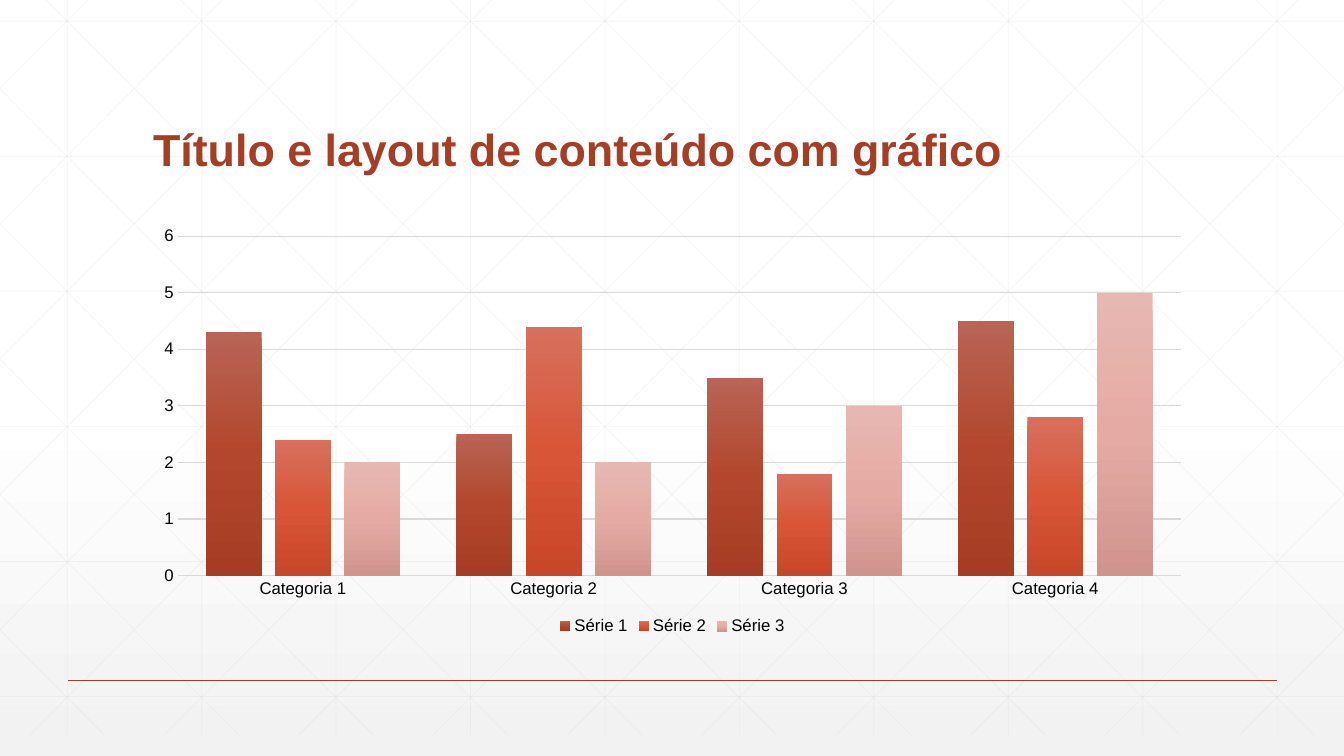
from copy import deepcopy
from dataclasses import dataclass

from lxml.etree import SubElement
from pptx import Presentation
from pptx.chart.data import CategoryChartData
from pptx.dml.color import RGBColor
from pptx.dml.fill import FillFormat
from pptx.enum.chart import XL_CHART_TYPE, XL_LEGEND_POSITION, XL_TICK_MARK
from pptx.enum.text import MSO_ANCHOR
from pptx.oxml.ns import qn
from pptx.slide import Slide
from pptx.text.text import Font
from pptx.util import Inches, Pt

WIDTH, HEIGHT = 13.33, 7.5
GRID_TOP, GRID_BOTTOM = -0.21, 7.29
COLUMN_STEP, ROW_STEP = 4 / 3, 1.34
DIAGONAL_RUN = 7.45
DIAGONAL_SLOPE = (GRID_BOTTOM - GRID_TOP) / DIAGONAL_RUN
RUST, GRAY, BLACK = "A43F27", "D9D9D9", "000000"
FONT = "Arial"


@dataclass
class Segment:
    x1: float
    y1: float
    x2: float
    y2: float

    def mirrored(self) -> "Segment":
        return Segment(WIDTH - self.x1, self.y1, WIDTH - self.x2, self.y2)


@dataclass
class Series:
    name: str
    values: tuple[float, ...]
    colors: tuple[str, str, str]


CATEGORIES = [f"Categoria {number}" for number in range(1, 5)]
SERIES = [
    Series("Série 1", (4.3, 2.5, 3.5, 4.5), ("B86456", "B3472D", "A53C23")),
    Series("Série 2", (2.4, 4.4, 1.8, 2.8), ("D7705D", "D85537", "C84728")),
    Series("Série 3", (2, 2, 3, 5), ("E7B8B2", "E5ABA3", "D0948D")),
]


def color(value: str) -> RGBColor:
    return RGBColor.from_string(value)


def style_font(font: Font, size: float, value: str, bold: bool = False) -> None:
    font.name = FONT
    font.size = Pt(size)
    font.bold = bold
    font.color.rgb = color(value)


def fill_gradient(fill: FillFormat, owner, colors: tuple[str, str, str], middle: float) -> None:
    fill.gradient()
    fill.gradient_angle = 270
    stop_list = next(owner.iter(qn("a:gsLst")))
    stop_list.append(deepcopy(stop_list[-1]))
    for stop, value, position in zip(fill.gradient_stops, colors, (0, middle, 1)):
        stop.color.rgb = color(value)
        stop.position = position


def add_line(page: Slide, segment: Segment, value: str, width: float, opacity: int = 100) -> None:
    ends = (segment.x1, segment.y1, segment.x2, segment.y2)
    connector = page.shapes.add_connector(1, *(Inches(end) for end in ends))
    connector.line.width = Pt(width)
    connector.line.color.rgb = color(value)
    properties = connector.element.spPr
    if opacity < 100:
        tint = next(properties.iter(qn("a:srgbClr")))
        SubElement(tint, qn("a:alpha")).set("val", str(opacity * 1000))
    SubElement(properties, qn("a:effectLst"))


def diagonal(start: float) -> Segment:
    left, right = max(start, 0), min(start + DIAGONAL_RUN, WIDTH)
    return Segment(
        left, GRID_TOP + (left - start) * DIAGONAL_SLOPE,
        right, GRID_TOP + (right - start) * DIAGONAL_SLOPE,
    )


def background_grid() -> list[Segment]:
    columns = [COLUMN_STEP * (index + 0.5) for index in range(10)]
    rows = [0.21 + ROW_STEP * index for index in range(6)]
    diagonals = [diagonal(0.25 + COLUMN_STEP * index) for index in range(-5, 10)]
    return (
        [Segment(x, GRID_TOP, x, GRID_BOTTOM) for x in columns]
        + [Segment(0, y, WIDTH, y) for y in rows]
        + diagonals
        + [segment.mirrored() for segment in diagonals]
    )


def add_title(page: Slide, text: str) -> None:
    box = page.shapes.add_textbox(Inches(1.42), Inches(0.55), Inches(10.5), Inches(1.25))
    frame = box.text_frame
    frame.word_wrap = True
    frame.vertical_anchor = MSO_ANCHOR.BOTTOM
    para = frame.paragraphs[0]
    para.line_spacing = 0.9
    span = para.add_run()
    span.text = text
    style_font(span.font, 32, RUST, True)


def add_column_chart(page: Slide) -> None:
    data = CategoryChartData()
    data.categories = CATEGORIES
    for series in SERIES:
        data.add_series(series.name, series.values)
    chart = page.shapes.add_chart(
        XL_CHART_TYPE.COLUMN_CLUSTERED,
        Inches(1.42), Inches(2.17), Inches(10.5), Inches(4.17), data,
    ).chart
    style_font(chart.font, 10, "2D2E2D")
    chart.has_title = False
    chart.has_legend = True
    chart.legend.position = XL_LEGEND_POSITION.BOTTOM
    chart.legend.include_in_layout = False
    style_font(chart.legend.font, 12, BLACK)

    for axis in (chart.category_axis, chart.value_axis):
        axis.major_tick_mark = XL_TICK_MARK.NONE
        axis.minor_tick_mark = XL_TICK_MARK.NONE
        style_font(axis.tick_labels.font, 12, BLACK)
    chart.value_axis.minimum_scale = 0
    chart.value_axis.maximum_scale = 6
    chart.value_axis.major_unit = 1
    chart.value_axis.format.line.fill.background()
    for line in (chart.category_axis.format.line, chart.value_axis.major_gridlines.format.line):
        line.color.rgb = color(GRAY)
        line.width = Pt(0.75)

    plot = chart.plots[0]
    plot.vary_by_categories = False
    plot.gap_width = 100
    plot.overlap = -24
    for columns, series in zip(plot.series, SERIES):
        columns.invert_if_negative = False
        fill_gradient(columns.format.fill, columns._element, series.colors, 0.5)


def main() -> None:
    deck = Presentation()
    deck.slide_width, deck.slide_height = Inches(WIDTH), Inches(HEIGHT)
    page = deck.slides.add_slide(deck.slide_layouts[6])
    fill_gradient(page.background.fill, page.element, ("FFFFFF", "FFFFFF", "F2F2F2"), 0.53)
    for segment in background_grid():
        add_line(page, segment, GRAY, 0.5, 25)
    add_line(page, Segment(0.67, 6.75, 12.67, 6.75), RUST, 1)
    add_title(page, "Título e layout de conteúdo com gráfico")
    add_column_chart(page)
    deck.save("out.pptx")


if __name__ == "__main__":
    main()
